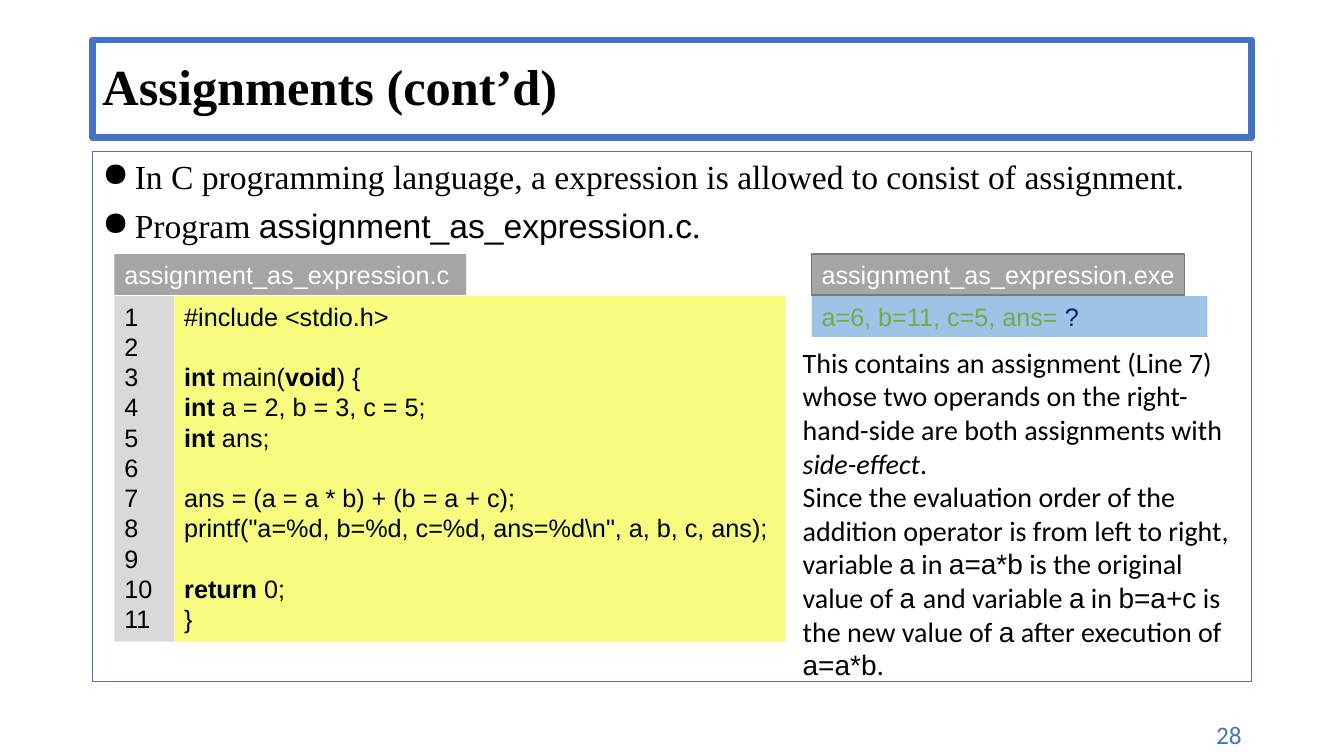
import pptx
import pptx.util
import pptx.dml.color
import pptx.enum.shapes
import pptx.enum.text
import pptx.oxml.ns
from lxml import etree

RGBColor = pptx.dml.color.RGBColor
Anchor = pptx.enum.text.MSO_ANCHOR
Align = pptx.enum.text.PP_ALIGN

BLACK = RGBColor(0x00, 0x00, 0x00)
WHITE = RGBColor(0xFF, 0xFF, 0xFF)
BLUE = RGBColor(0x44, 0x72, 0xC4)
PALE_BLUE = RGBColor(0x9D, 0xC3, 0xE6)
NAVY = RGBColor(0x00, 0x20, 0x60)
GREEN = RGBColor(0x70, 0xAD, 0x47)
GRAY = RGBColor(0xA5, 0xA5, 0xA5)
DARK_GRAY = RGBColor(0x7A, 0x7A, 0x7A)
LIGHT_GRAY = RGBColor(0xD9, 0xD9, 0xD9)
YELLOW = RGBColor(0xF7, 0xFC, 0x7E)

SERIF, SANS, CODE = "Times New Roman", "Calibri", "Arial"

# Bars switch between the plain and the accented style
CODE_LINES = [
    "#include <stdio.h>",
    "",
    "|int |main(|void|) {",
    "|int |a = 2, b = 3, c = 5;",
    "|int |ans;",
    "",
    "ans = (a = a * b) + (b = a + c);",
    'printf("a=%d, b=%d, c=%d, ans=%d\\n", a, b, c, ans);',
    "",
    "|return |0;",
    "}",
]
SIDE_EFFECT = (
    "This contains an assignment (Line 7) whose two operands on the "
    "right-hand-side are both assignments with |side-effect|."
)
ORDER = (
    "Since the evaluation order of the addition operator is from left to right, "
    "variable |a| in |a=a*b| is the original value of |a |and variable |a| in "
    "|b=a+c| is the new value of |a| after execution of |a=a*b|."
)


class SlideBuilder:
    EMU_PER_PX = 9525

    def __init__(self, deck):
        deck.slide_width, deck.slide_height = self.px(1280, 720)
        self.page = deck.slides.add_slide(deck.slide_layouts[5])

    def px(self, *lengths):
        return [pptx.util.Emu(length * self.EMU_PER_PX) for length in lengths]

    def style(self, span, name=CODE, size=18, color=BLACK, bold=False, italic=False):
        font = span.font
        font.name, font.size = name, pptx.util.Pt(size)
        font.color.rgb = color
        font.bold, font.italic = bold, italic

    def add_spans(self, para, text, accent=None, **plain):
        for index, part in enumerate(text.split("|")):
            if part:
                span = para.add_run()
                span.text = part
                self.style(span, **{**plain, **(accent or {} if index % 2 else {})})
        if not text:
            end = etree.SubElement(para._p, pptx.oxml.ns.qn("a:endParaRPr"), sz="1800")
            etree.SubElement(end, pptx.oxml.ns.qn("a:latin"), typeface=CODE)

    def fill_text(self, box, lines, accents=None, align=Align.LEFT, **plain):
        frame = box.text_frame
        frame.word_wrap = True
        frame.vertical_anchor = Anchor.TOP
        for index, line in enumerate(lines):
            para = frame.add_paragraph() if index else frame.paragraphs[0]
            para.alignment = align
            self.add_spans(para, line, accents[index] if accents else None, **plain)
        return frame

    def outline(self, box, color, width):
        box.line.color.rgb = color
        box.line.width = pptx.util.Pt(width)

    def title(self, area, text):
        box = self.page.shapes.title
        box.left, box.top, box.width, box.height = self.px(*area)
        self.outline(box, BLUE, 4.5)
        frame = box.text_frame
        frame.text = text
        frame.auto_size = pptx.enum.text.MSO_AUTO_SIZE.NONE
        frame.vertical_anchor = Anchor.MIDDLE
        para = frame.paragraphs[0]
        para.alignment, para.line_spacing = Align.LEFT, 0.9
        self.style(para.runs[0], SERIF, 36, bold=True)

    def panel(self, area, lines, fill=None, line=None, **text_style):
        box = self.page.shapes.add_shape(
            pptx.enum.shapes.MSO_SHAPE.RECTANGLE, *self.px(*area))
        box.shadow.inherit = False
        if fill is None:
            box.fill.background()
        else:
            box.fill.solid()
            box.fill.fore_color.rgb = fill
        if line is None:
            box.line.fill.background()
        else:
            self.outline(box, line, 1)
        frame = self.fill_text(box, lines, **text_style)
        frame.margin_right = 0
        return frame

    def text(self, area, lines, **text_style):
        box = self.page.shapes.add_textbox(*self.px(*area))
        return self.fill_text(box, lines, **text_style)

    def add_bullets(self, frame):
        indent = self.px(31)[0]
        for index, para in enumerate(frame.paragraphs):
            properties = para._p.get_or_add_pPr()
            properties.set("marL", str(indent))
            properties.set("indent", str(-indent))
            etree.SubElement(properties, pptx.oxml.ns.qn("a:buChar"), char="●")
            if index:
                para.space_before = pptx.util.Pt(6)


def main():
    deck = pptx.Presentation()
    slide = SlideBuilder(deck)

    # Title and framed bullets
    slide.title((88, 38, 1104, 93), "Assignments (cont’d)")
    bullets = slide.panel(
        (88, 144, 1104, 505),
        ["In C programming language, a expression is allowed to consist of assignment.",
         "Program |assignment_as_expression.c|."],
        line=BLUE, accents=[{"name": CODE}] * 2, name=SERIF, size=24)
    slide.add_bullets(bullets)

    # Program output
    slide.panel((773, 282, 377, 39), ["a=6, b=11, c=5, ans= |?"], PALE_BLUE,
                accents=[{"color": NAVY}], color=GREEN)
    slide.panel((773, 242, 355, 39), ["assignment_as_expression.exe"], GRAY,
                DARK_GRAY, color=WHITE)

    # Source listing with line numbers
    slide.panel((109, 242, 335, 39), ["assignment_as_expression.c"], GRAY, color=WHITE)
    slide.panel((166, 282, 582, 329), CODE_LINES, YELLOW,
                accents=[{"bold": True}] * len(CODE_LINES))
    numbers = [str(number) for number in range(1, len(CODE_LINES) + 1)]
    slide.panel((109, 282, 57, 329), numbers, LIGHT_GRAY)

    # Explanation
    slide.text((755, 324, 426, 365), [SIDE_EFFECT, ORDER],
               accents=[{"italic": True}, {"name": CODE}], name=SANS, size=20)

    # Page number
    slide.text((1041, 680, 151, 38), ["28"], align=Align.RIGHT, name=SANS, color=BLUE)

    deck.save("out.pptx")


if __name__ == "__main__":
    main()
